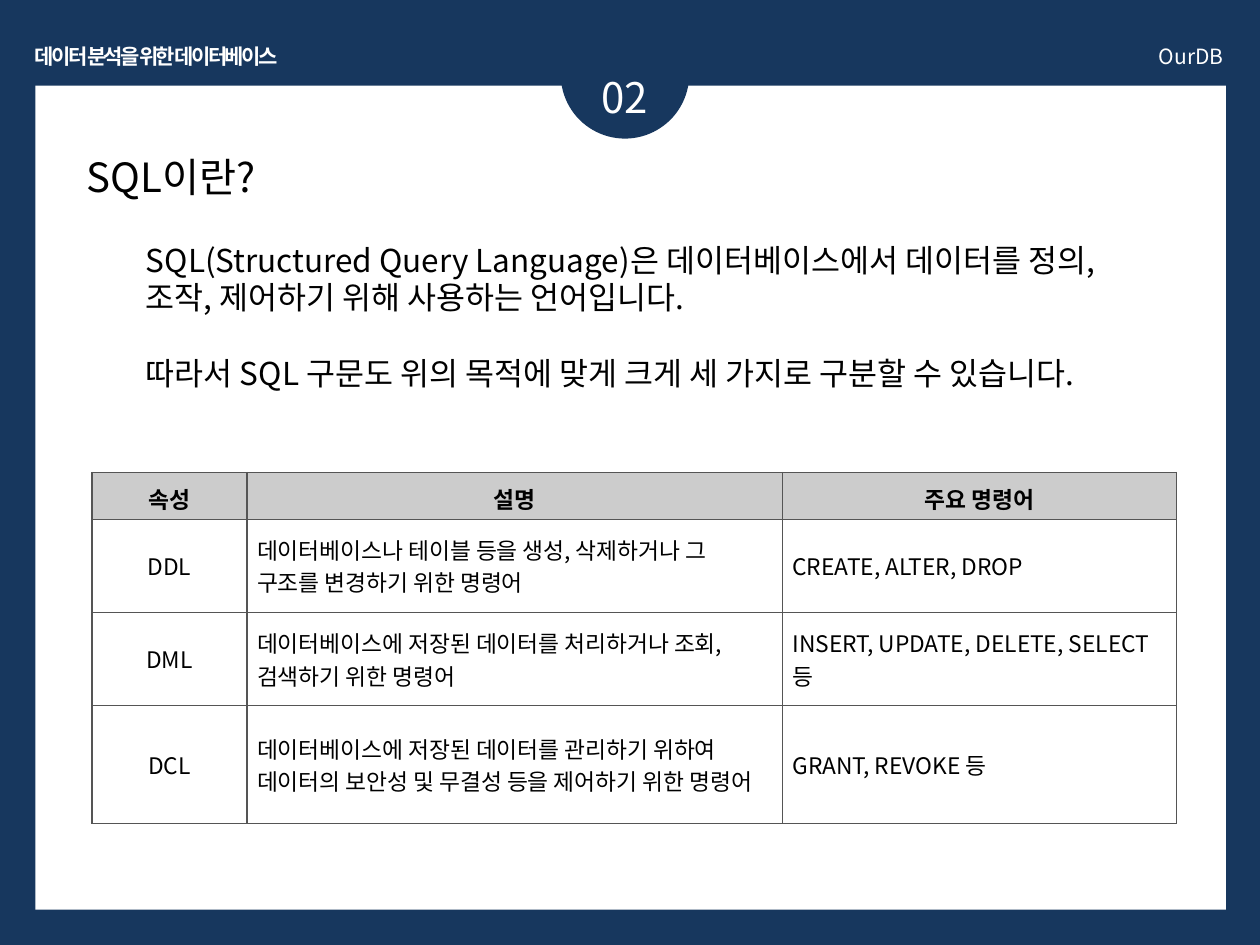
from dataclasses import dataclass

from lxml.etree import SubElement
from pptx import Presentation
from pptx.dml.color import RGBColor
from pptx.enum.shapes import MSO_SHAPE
from pptx.enum.text import MSO_ANCHOR, PP_ALIGN
from pptx.oxml.ns import qn
from pptx.util import Inches, Pt

NAVY = RGBColor(0x17, 0x37, 0x5E)
WHITE = RGBColor(0xFF, 0xFF, 0xFF)
BLACK = RGBColor(0, 0, 0)
GRAY = RGBColor(0xCC, 0xCC, 0xCC)
EDGE = RGBColor(0x55, 0x55, 0x55)
FONT = "Noto Sans CJK KR"


@dataclass
class Label:
    left: float
    top: float
    width: float
    height: float
    lines: list[str]
    size: int
    color: RGBColor = BLACK
    align: PP_ALIGN = PP_ALIGN.LEFT
    bold: bool = False
    wrap: bool = True
    track: int = 0
    inset: float = 0.1


LABELS = [
    Label(0.05, 0.3, 2.38, 0.3, ["데이터 분석을 위한 데이터베이스"], 12, WHITE,
          PP_ALIGN.CENTER, bold=True, wrap=False, track=-150),
    Label(4.37, 0.52, 1.18, 0.5, ["02"], 24, WHITE, PP_ALIGN.CENTER),
    Label(5.87, 0.3, 3.94, 0.3, ["OurDB"], 12, WHITE, PP_ALIGN.RIGHT),
    Label(1.06, 1.86, 7.87, 1.62, [
        "SQL(Structured Query Language)은 데이터베이스에서 데이터를 정의, 조작, "
        "제어하기 위해 사용하는 언어입니다.",
        "따라서 SQL 구문도 위의 목적에 맞게 크게 세 가지로 구분할 수 있습니다.",
    ], 18, inset=0.15),
    Label(0.59, 1.16, 8.74, 0.49, ["SQL이란?"], 23),
]

COLS = [1.23, 4.25, 3.13]
ROWS = [0.37, 0.74, 0.74, 0.94]
CELLS = [
    ["속성", "설명", "주요 명령어"],
    ["DDL", "데이터베이스나 테이블 등을 생성, 삭제하거나 그 구조를 변경하기 위한 명령어",
     "CREATE, ALTER, DROP"],
    ["DML", "데이터베이스에 저장된 데이터를 처리하거나 조회, 검색하기 위한 명령어",
     "INSERT, UPDATE, DELETE, SELECT 등"],
    ["DCL", "데이터베이스에 저장된 데이터를 관리하기 위하여 "
     "데이터의 보안성 및 무결성 등을 제어하기 위한 명령어", "GRANT, REVOKE 등"],
]


def set_font(para, size: int, color: RGBColor, bold: bool) -> None:
    """Set the font of a paragraph, its Korean letters included."""
    for font in (para.font, *(run.font for run in para.runs)):
        font.name, font.size, font.bold = FONT, Pt(size), bold
        font.color.rgb = color
    for run in para.runs:
        SubElement(run._r.get_or_add_rPr(), qn("a:ea"), typeface=FONT)


def add_shape(slide, kind: MSO_SHAPE, box: tuple, color: RGBColor) -> None:
    shape = slide.shapes.add_shape(kind, *map(Inches, box))
    shape.shadow.inherit = False
    shape.fill.solid()
    shape.fill.fore_color.rgb = color
    shape.line.fill.background()


def add_label(slide, label: Label) -> None:
    box = (label.left, label.top, label.width, label.height)
    frame = slide.shapes.add_textbox(*map(Inches, box)).text_frame
    frame.word_wrap = label.wrap
    frame.margin_right = Inches(label.inset)
    for i, line in enumerate(label.lines):
        para = frame.add_paragraph() if i else frame.paragraphs[0]
        para.text = line
        para.alignment = label.align
        if i:
            para.space_before = Pt(21.5)
        set_font(para, label.size, label.color, label.bold)
        if label.track:
            para.runs[0]._r.get_or_add_rPr().set("spc", str(label.track))


def add_edges(cell) -> None:
    props = cell._tc.get_or_add_tcPr()
    for side in ("lnL", "lnR", "lnT", "lnB"):
        line = SubElement(props, qn(f"a:{side}"), w=str(Pt(0.75)))
        fill = SubElement(line, qn("a:solidFill"))
        SubElement(fill, qn("a:srgbClr"), val=str(EDGE))


def add_grid(slide) -> None:
    table = slide.shapes.add_table(
        len(ROWS), len(COLS), Inches(0.73), Inches(3.75),
        Inches(sum(COLS)), Inches(sum(ROWS))).table
    for col, width in zip(table.columns, COLS):
        col.width = Inches(width)
    for r, (row, height) in enumerate(zip(table.rows, ROWS)):
        row.height = Inches(height)
        head = r == 0
        for c, cell in enumerate(row.cells):
            cell.text = CELLS[r][c]
            cell.vertical_anchor = MSO_ANCHOR.MIDDLE
            cell.margin_left = cell.margin_right = cell.margin_top = Inches(0.08)
            cell.margin_bottom = Inches(0.03 if head else 0.08)
            add_edges(cell)
            cell.fill.solid()
            cell.fill.fore_color.rgb = GRAY if head else WHITE
            para = cell.text_frame.paragraphs[0]
            para.alignment = PP_ALIGN.CENTER if head or c == 0 else PP_ALIGN.LEFT
            set_font(para, 13, BLACK, head)


def main() -> None:
    deck = Presentation()
    deck.slide_width, deck.slide_height = Inches(10), Inches(7.5)
    slide = deck.slides.add_slide(deck.slide_layouts[6])
    slide.background.fill.solid()
    slide.background.fill.fore_color.rgb = NAVY
    add_shape(slide, MSO_SHAPE.RECTANGLE, (0.28, 0.68, 9.45, 6.54), WHITE)
    add_shape(slide, MSO_SHAPE.OVAL, (4.45, 0.08, 1.02, 1.02), NAVY)
    for label in LABELS:
        add_label(slide, label)
    add_grid(slide)
    deck.save("out.pptx")


if __name__ == "__main__":
    main()
